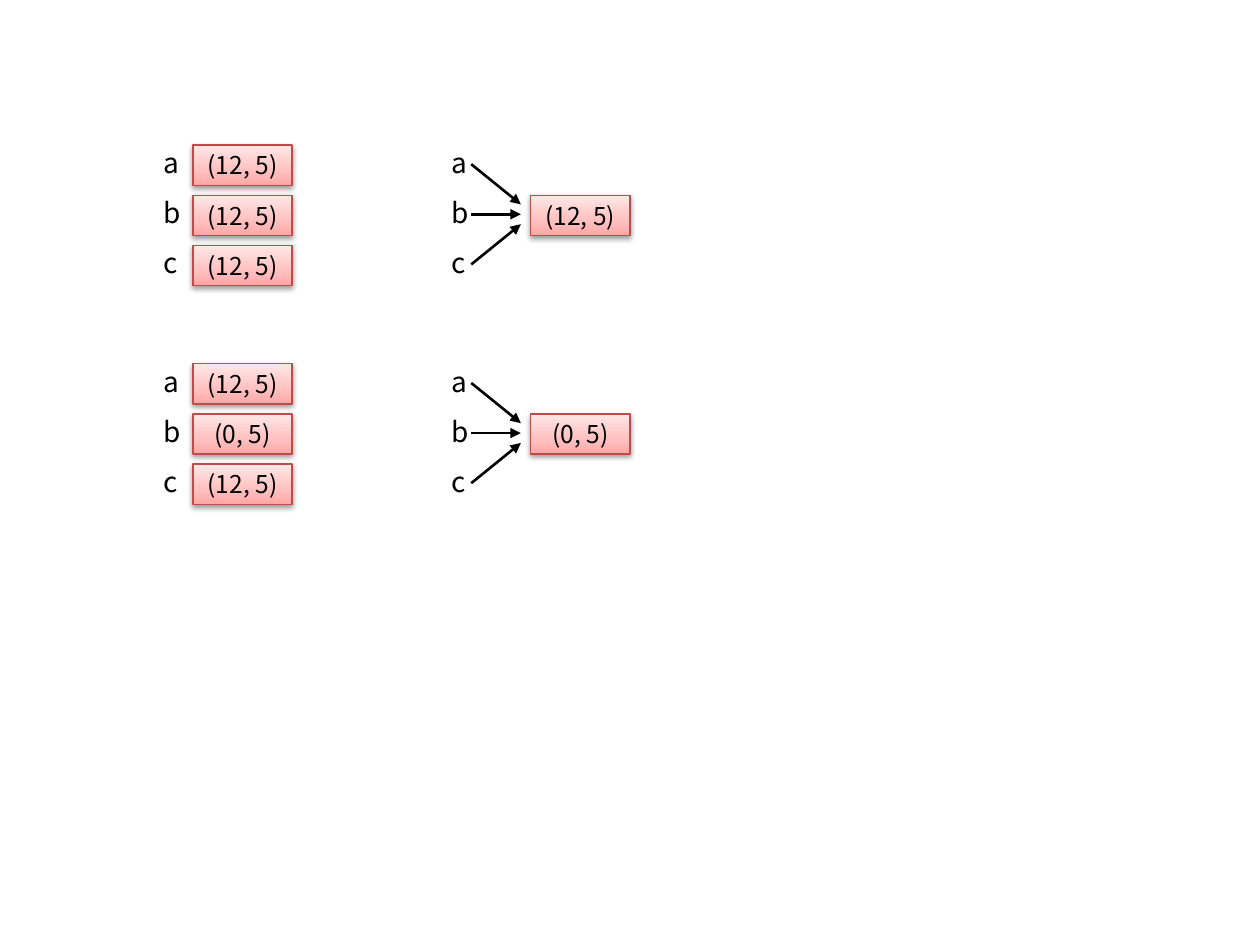
from copy import deepcopy

from lxml.etree import SubElement
from pptx import Presentation
from pptx.dml.color import RGBColor
from pptx.enum.shapes import MSO_CONNECTOR, MSO_SHAPE
from pptx.enum.text import MSO_ANCHOR, MSO_AUTO_SIZE, PP_ALIGN
from pptx.oxml.ns import qn
from pptx.util import Cm, Pt

BLACK = RGBColor(0x00, 0x00, 0x00)
BORDER_RED = RGBColor(0xBF, 0x4C, 0x48)
RED_STOPS = (
    (0, RGBColor(0xFF, 0xA6, 0xA5)),
    (0.35, RGBColor(0xFF, 0xC0, 0xBF)),
    (1, RGBColor(0xFF, 0xE7, 0xE7)),
)
FONT = "Noto Sans CJK JP"

# All lengths below are centimetres.
VARIABLES = ("a", "b", "c")
ROW_PITCH = 1.01
ARROW_TIP_PITCH = 0.2
VALUE_WIDTH, VALUE_HEIGHT = 2.0, 0.81
SEPARATE_NAMES_X, SEPARATE_VALUES_X = 3.3, 3.89
SHARED_NAMES_X, SHARED_VALUE_X = 9.1, 10.7
ARROW_START_X, ARROW_END_X = 9.5, 10.5

# Middle row, values held separately, value shared by reference
STATES = (
    (4.32, ("(12, 5)", "(12, 5)", "(12, 5)"), "(12, 5)"),
    (8.73, ("(12, 5)", "(0, 5)", "(12, 5)"), "(0, 5)"),
)


def set_text(frame, text, size, align=PP_ALIGN.LEFT, anchor=MSO_ANCHOR.TOP,
             margin=0.0, wrap=False):
    frame.margin_left = frame.margin_right = Cm(margin)
    frame.margin_top = frame.margin_bottom = Cm(margin)
    frame.word_wrap = wrap
    frame.auto_size = MSO_AUTO_SIZE.SHAPE_TO_FIT_TEXT
    frame.vertical_anchor = anchor
    paragraph = frame.paragraphs[0]
    paragraph.alignment = align
    run = paragraph.add_run()
    run.text = text
    run.font.name = FONT
    run.font.size = Pt(size)
    run.font.color.rgb = BLACK


def fill_gradient(shape):
    shape.fill.gradient()
    stop_list = shape._element.spPr.find(qn("a:gradFill")).find(qn("a:gsLst"))
    stop_list.append(deepcopy(stop_list[0]))
    for stop, (position, color) in zip(shape.fill.gradient_stops, RED_STOPS):
        stop.position = position
        stop.color.rgb = color
    shape.fill.gradient_angle = 90


def add_soft_shadow(shape):
    shape.shadow.inherit = False
    effects = shape._element.spPr.find(qn("a:effectLst"))
    shadow = SubElement(effects, qn("a:outerShdw"), blurRad="40000",
                        dist="20000", dir="5400000", rotWithShape="0")
    color = SubElement(shadow, qn("a:srgbClr"), val=str(BLACK))
    SubElement(color, qn("a:alpha"), val="38000")


def add_name(slide, name, left, middle):
    label = slide.shapes.add_textbox(Cm(left), Cm(middle - 0.38),
                                     Cm(0.28), Cm(0.69))
    set_text(label.text_frame, name, size=16)


def add_value(slide, value, left, middle):
    box = slide.shapes.add_shape(
        MSO_SHAPE.RECTANGLE, Cm(left), Cm(middle - VALUE_HEIGHT / 2 + 0.02),
        Cm(VALUE_WIDTH), Cm(VALUE_HEIGHT))
    fill_gradient(box)
    box.line.color.rgb = BORDER_RED
    box.line.width = Pt(0.75)
    add_soft_shadow(box)
    set_text(box.text_frame, value, size=14, align=PP_ALIGN.CENTER,
             anchor=MSO_ANCHOR.MIDDLE, margin=0.1, wrap=True)


def add_arrow(slide, start_y, end_y):
    arrow = slide.shapes.add_connector(
        MSO_CONNECTOR.STRAIGHT, Cm(ARROW_START_X), Cm(start_y),
        Cm(ARROW_END_X), Cm(end_y))
    arrow.line.color.rgb = BLACK
    arrow.line.width = Pt(1.5)
    SubElement(arrow.line._get_or_add_ln(), qn("a:tailEnd"), type="triangle")
    SubElement(arrow._element.spPr, qn("a:effectLst"))


def add_separate_values(slide, middle, values):
    for row, (name, value) in enumerate(zip(VARIABLES, values), start=-1):
        row_y = middle + row * ROW_PITCH
        add_name(slide, name, SEPARATE_NAMES_X, row_y)
        add_value(slide, value, SEPARATE_VALUES_X, row_y)


def add_shared_value(slide, middle, value):
    for row, name in enumerate(VARIABLES, start=-1):
        row_y = middle + row * ROW_PITCH
        add_name(slide, name, SHARED_NAMES_X, row_y)
        add_arrow(slide, row_y, middle + row * ARROW_TIP_PITCH)
    add_value(slide, value, SHARED_VALUE_X, middle)


def main():
    presentation = Presentation()
    presentation.slide_width = Cm(25.4)
    presentation.slide_height = Cm(19.05)
    slide = presentation.slides.add_slide(presentation.slide_layouts[6])
    for middle, separate_values, shared_value in STATES:
        add_separate_values(slide, middle, separate_values)
        add_shared_value(slide, middle, shared_value)
    presentation.save("out.pptx")


if __name__ == "__main__":
    main()
